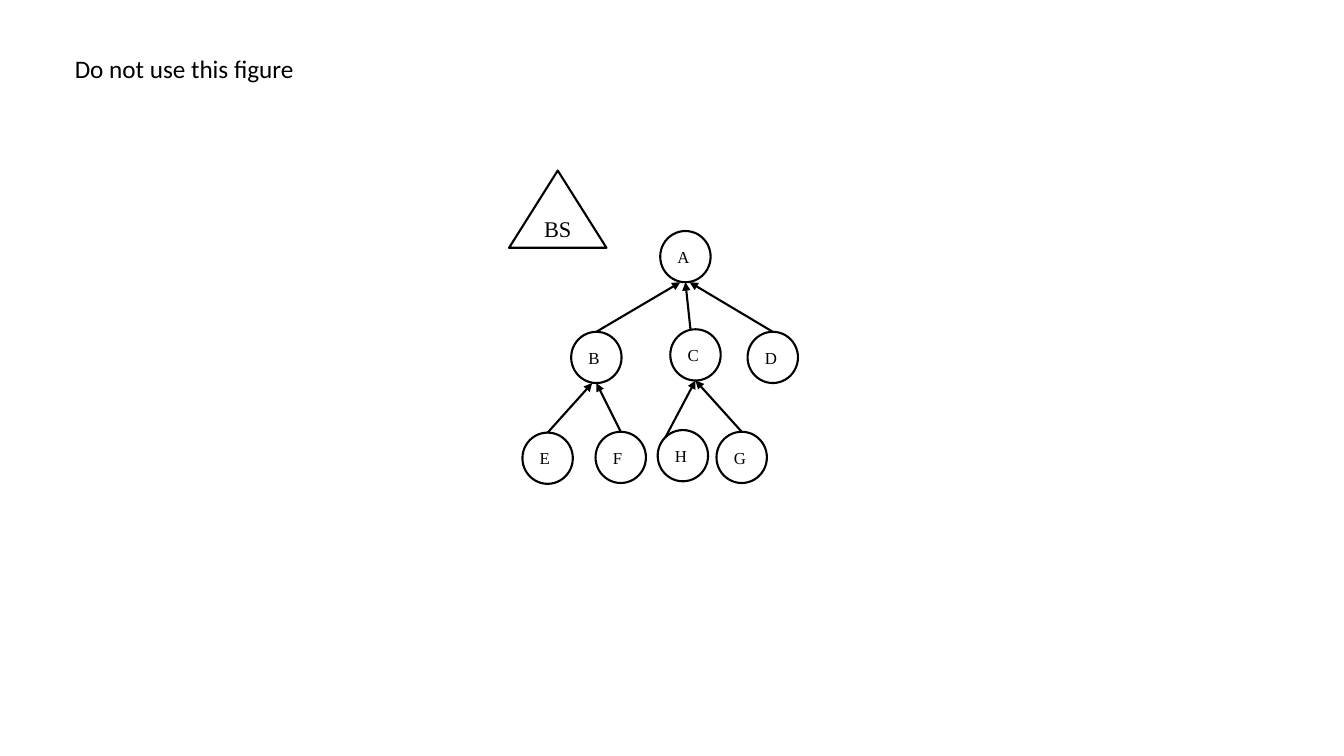
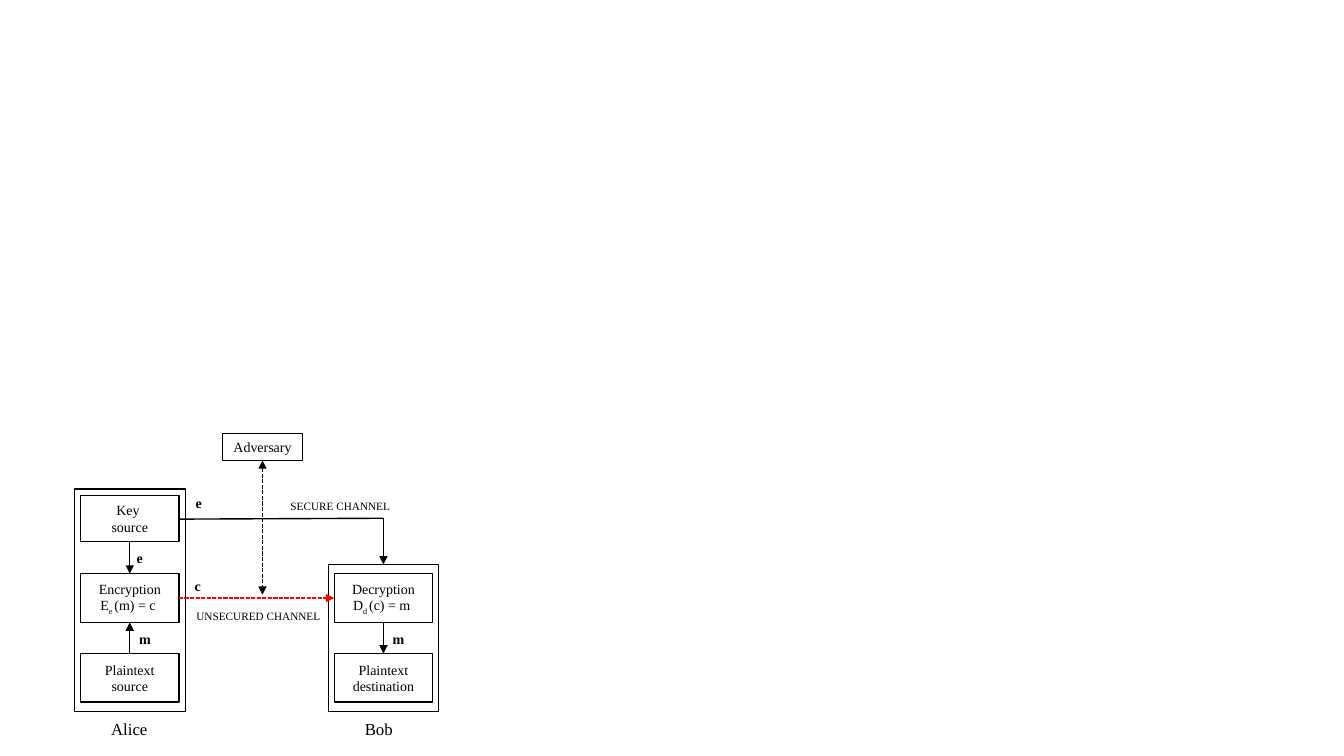
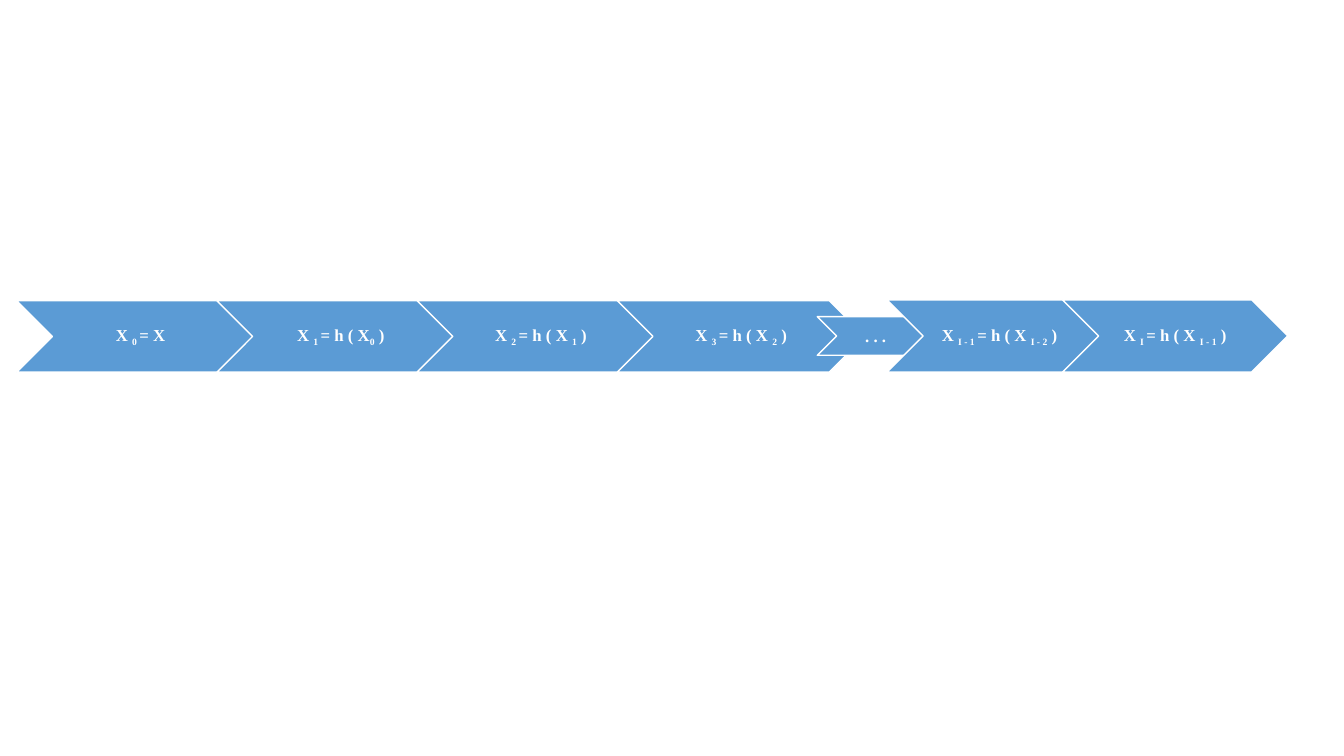
from dataclasses import dataclass

from lxml import etree
from pptx import Presentation
from pptx import util as u
from pptx.dml.color import RGBColor
from pptx.enum import dml, shapes, text
from pptx.oxml.ns import qn

# Shared look: a grid of 160 columns by 90 rows on a wide slide
SLIDE_WIDTH, SLIDE_HEIGHT = u.Inches(13.333), u.Inches(7.5)
COLUMN, ROW = SLIDE_WIDTH / 160, SLIDE_HEIGHT / 90
BLACK, WHITE, RED, BLUE = "000000", "FFFFFF", "FF0000", "5B9BD5"
SERIF, SANS = "Times New Roman", "Calibri"
LEFT, CENTER = text.PP_ALIGN.LEFT, text.PP_ALIGN.CENTER
TOP, MIDDLE = text.MSO_ANCHOR.TOP, text.MSO_ANCHOR.MIDDLE
TITLE_ONLY, BLANK = 5, 6
SHAPE = shapes.MSO_SHAPE


@dataclass(frozen=True)
class Area:
    """A rectangle measured in grid columns and rows."""
    left: float
    top: float
    width: float
    height: float

    @property
    def center(self) -> float:
        return self.left + self.width / 2

    @property
    def bottom(self) -> float:
        return self.top + self.height

    def emu(self) -> tuple[int, int, int, int]:
        return (round(self.left * COLUMN), round(self.top * ROW),
                round(self.width * COLUMN), round(self.height * ROW))


@dataclass(frozen=True)
class Link:
    """An arrow from a child node to its parent, with shifts in grid units."""
    child: str
    parent: str
    aim: float = 0
    start: float = 0
    drop: float = 0


@dataclass(frozen=True)
class Label:
    words: str
    area: Area
    size: float = 10
    bold: bool = True
    align: text.PP_ALIGN = CENTER
    wrap: bool = False
    inset: float = 0


@dataclass(frozen=True)
class Arrow:
    start: tuple[float, float]
    end: tuple[float, float]
    color: str = BLACK
    dashed: bool = False
    head: bool = False
    tail: bool = True


def rgb(color: str) -> RGBColor:
    return RGBColor.from_string(color)


def write(box, words: str, *, size: float, font: str = SERIF, color: str = BLACK,
          bold: bool = False, align=CENTER, anchor=MIDDLE, wrap: bool = True,
          inset: float = 0.1) -> None:
    """Fill a box with lines; pieces between underscores become subscripts."""
    frame = box.text_frame
    frame.auto_size = text.MSO_AUTO_SIZE.NONE
    frame.word_wrap = wrap
    frame.vertical_anchor = anchor
    frame.margin_left = frame.margin_right = u.Inches(inset)
    frame.margin_top = frame.margin_bottom = u.Inches(0.05)
    for row, line in enumerate(words.split("\n")):
        para = frame.add_paragraph() if row else frame.paragraphs[0]
        para.alignment = align
        for part, piece in enumerate(line.split("_")):
            span = para.add_run()
            span.text = piece
            span.font.name, span.font.size, span.font.bold = font, u.Pt(size), bold
            span.font.color.rgb = rgb(color)
            if part % 2:
                span.font._element.set("baseline", "-25000")


def draw_shape(page, kind, area: Area, *, fill: str = "", line: str = BLACK,
               weight: float = 1):
    shape = page.shapes.add_shape(kind, *area.emu())
    shape.shadow.inherit = False
    if fill:
        shape.fill.solid()
        shape.fill.fore_color.rgb = rgb(fill)
    else:
        shape.fill.background()
    shape.line.color.rgb = rgb(line)
    shape.line.width = u.Pt(weight)
    return shape


def draw_arrow(page, arrow: Arrow, weight: float = 1) -> None:
    (x1, y1), (x2, y2) = arrow.start, arrow.end
    line = page.shapes.add_connector(
        shapes.MSO_CONNECTOR.STRAIGHT, round(x1 * COLUMN), round(y1 * ROW),
        round(x2 * COLUMN), round(y2 * ROW))
    line.line.color.rgb = rgb(arrow.color)
    line.line.width = u.Pt(weight)
    if arrow.dashed:
        line.line.dash_style = dml.MSO_LINE.SQUARE_DOT
    outline = line.line._get_or_add_ln()
    for tag, shown in (("a:headEnd", arrow.head), ("a:tailEnd", arrow.tail)):
        if shown:
            etree.SubElement(outline, qn(tag), type="triangle")
    etree.SubElement(line._element.spPr, qn("a:effectLst"))


def draw_label(page, label: Label) -> None:
    box = page.shapes.add_textbox(*label.area.emu())
    write(box, label.words, size=label.size, bold=label.bold, align=label.align,
          anchor=TOP, wrap=label.wrap, inset=label.inset)


def build_tree(page) -> None:
    title = page.shapes.title
    title.left, title.top, title.width, title.height = Area(7.7, 5.8, 39.6, 4.8).emu()
    write(title, "Do not use this figure", size=18, font=SANS, align=LEFT, anchor=TOP)

    # Nodes of the tree
    corners = {"A": (78.6, 27.5), "B": (68, 39.5), "C": (79.8, 39.2), "D": (89, 39.5),
               "E": (62.2, 51.5), "F": (70.9, 51.4), "G": (85.3, 51.4), "H": (78.3, 51.2)}
    nodes = {name: Area(*corner, 6, 6.1) for name, corner in corners.items()}
    for name, area in nodes.items():
        node = draw_shape(page, SHAPE.OVAL, area, fill=WHITE, weight=1.5)
        write(node, name, size=12, align=LEFT)

    station = draw_shape(page, SHAPE.ISOSCELES_TRIANGLE, Area(60.6, 20.3, 11.6, 9.2),
                         weight=1.5)
    write(station, "BS", size=16, wrap=False)

    # Arrows from children to parents
    links = [Link("B", "A", aim=-0.6), Link("C", "A"), Link("D", "A", aim=0.5),
             Link("E", "B", aim=-0.5), Link("F", "B"), Link("G", "C"),
             Link("H", "C", start=-2.1, drop=0.9)]
    links[1] = Link("C", "A", start=-0.6)
    for link in links:
        child, parent = nodes[link.child], nodes[link.parent]
        draw_arrow(page, Arrow((child.center + link.start, child.top + link.drop),
                               (parent.center + link.aim, parent.bottom)), weight=1.5)


def build_cipher(page) -> None:
    # Frames of the two parties
    for frame in (Area(8.9, 58.2, 13.2, 26.5), Area(39.1, 67.2, 13.1, 17.5)):
        draw_shape(page, SHAPE.RECTANGLE, frame)

    # Steps inside and above the frames
    alice, bob, width = 9.6, 39.8, 11.7
    steps = {
        "Key \nsource": Area(alice, 59, width, 5.5),
        "Encryption\nE_e _(m) = c ": Area(alice, 68.3, width, 5.8),
        "Plaintext\nsource": Area(alice, 77.8, width, 5.8),
        "Decryption\nD_d _(c) = m ": Area(bob, 68.3, width, 5.8),
        "Plaintext\ndestination": Area(bob, 77.8, width, 5.8),
        "Adversary": Area(26.5, 51.6, 9.5, 3.2),
    }
    for words, area in steps.items():
        step = draw_shape(page, SHAPE.RECTANGLE, area)
        write(step, words, size=10, inset=0.05)

    # Flow of keys and messages
    alice_middle, bob_middle = alice + width / 2, bob + width / 2
    alice_edge = alice + width
    arrows = [
        Arrow((alice_middle, 64.5), (alice_middle, 68.3)),
        Arrow((alice_middle, 77.8), (alice_middle, 74.1)),
        Arrow((bob_middle, 74.1), (bob_middle, 77.8)),
        Arrow((alice_edge, 61.8), (bob_middle, 61.7), tail=False),
        Arrow((bob_middle, 61.7), (bob_middle, 67.2)),
        Arrow((alice_edge, 71.2), (bob, 71.2), color=RED, dashed=True),
        Arrow((31.25, 54.8), (31.25, 70.8), dashed=True, head=True),
    ]
    for arrow in arrows:
        draw_arrow(page, arrow)

    # Symbols, channels and names
    symbols = [("e", 15.8, 64.8), ("m", 16.4, 74.5), ("m", 46.6, 74.5),
               ("e", 22.8, 58.3), ("c", 22.7, 68.2)]
    labels = [Label(words, Area(left, top, 1.7, 3.2)) for words, left, top in symbols]
    labels += [Label(words, Area(left, top, span, 2.9), size=8, bold=False, align=LEFT,
                     wrap=True, inset=0.1)
               for words, left, top, span in (("SECURE CHANNEL", 33.4, 58.9, 14.5),
                                              ("UNSECURED CHANNEL", 22.2, 72, 19.2))]
    labels += [Label(words, Area(left, 85, span, 3.6), size=12, bold=False)
               for words, left, span in (("Alice", 12, 6.8), ("Bob", 42.2, 5.8))]
    for label in labels:
        draw_label(page, label)


def build_chain(page) -> None:
    # Each link hashes the one before it
    opening = ["X _0 _= X", "X _1 _= h ( X_0_ )", "X _2 _= h ( X _1_ )",
               "X _3 _= h ( X _2_ )"]
    closing = ["X _I - 1 _= h ( X _I - 2_ )", "X _I _= h ( X _I - 1_ )"]
    chain = [(words, Area(2 + 23.83 * place, 35.8, 29.5, 8.5))
             for place, words in enumerate(opening)]
    chain.append((". . .", Area(97.3, 37.7, 13.9, 4.6)))
    chain += [(words, Area(105.6 + 20.9 * place, 35.7, 26.8, 8.6))
              for place, words in enumerate(closing)]
    for words, area in chain:
        chevron = draw_shape(page, SHAPE.CHEVRON, area, fill=BLUE, line=WHITE)
        write(chevron, words, size=12, color=WHITE, bold=True, inset=0.02)


deck = Presentation()
deck.slide_width, deck.slide_height = SLIDE_WIDTH, SLIDE_HEIGHT
for layout, build in ((TITLE_ONLY, build_tree), (BLANK, build_cipher),
                      (BLANK, build_chain)):
    build(deck.slides.add_slide(deck.slide_layouts[layout]))
deck.save("out.pptx")
